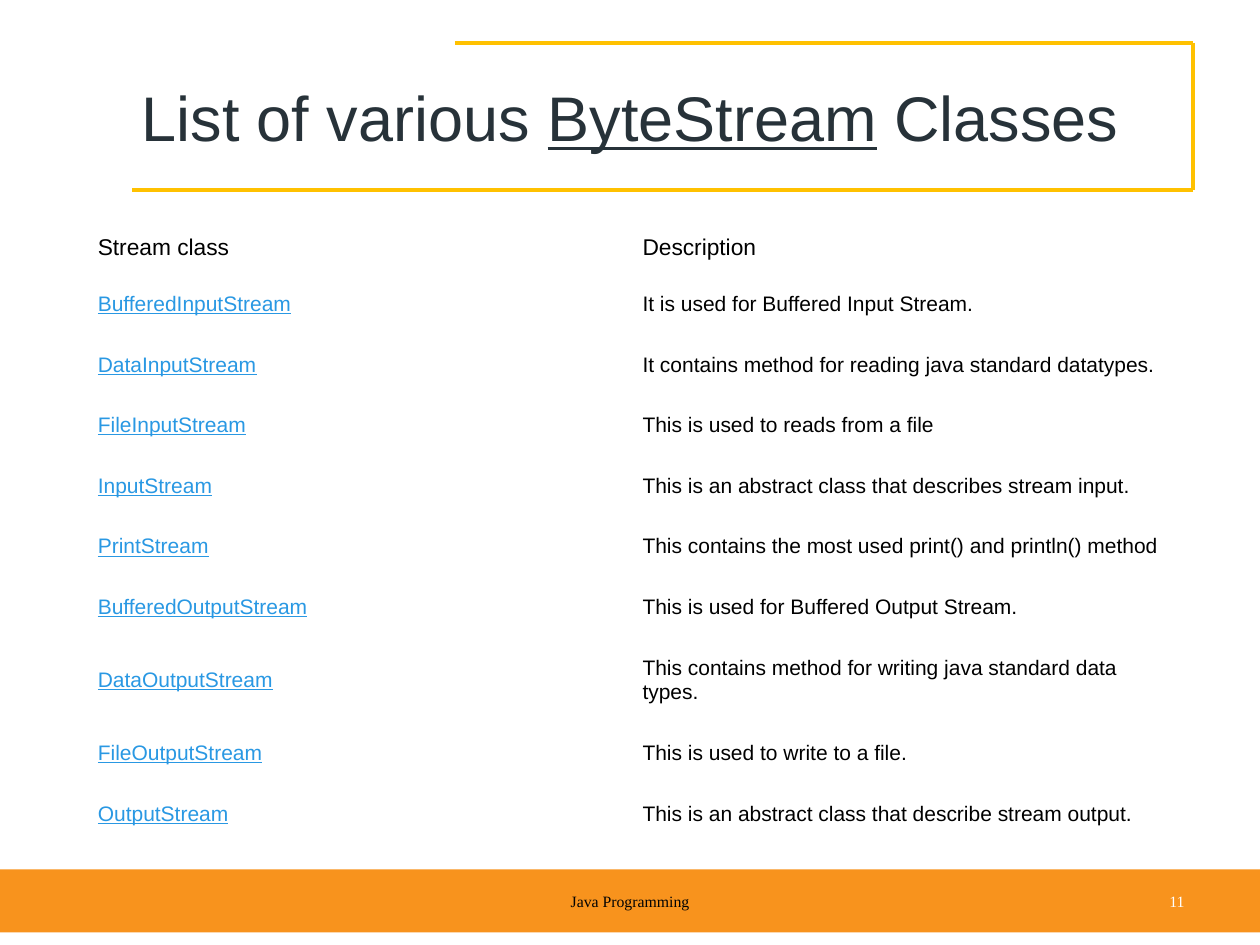
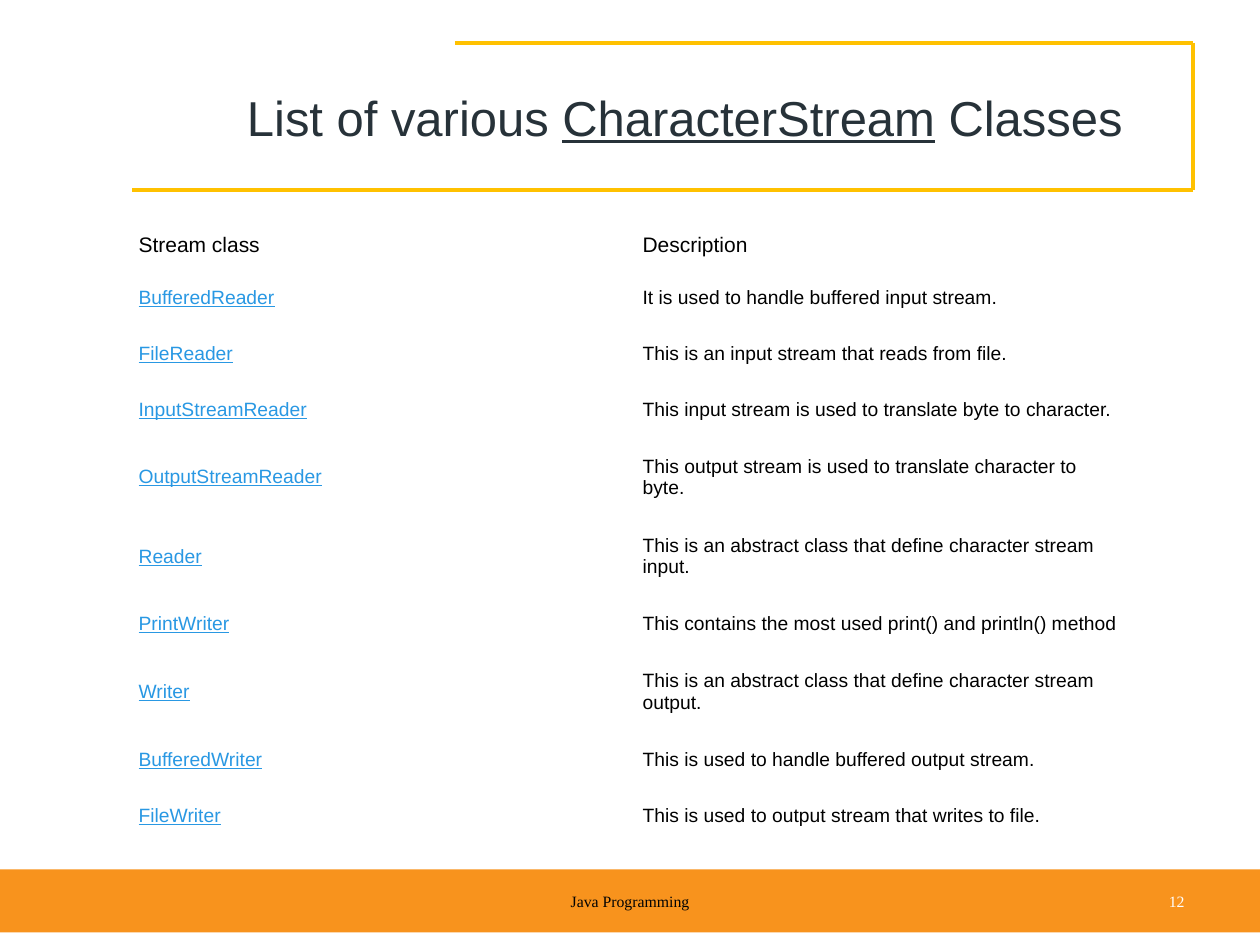
from pptx import Presentation
from pptx.dml.color import RGBColor
from pptx.enum import shapes, text
from pptx.oxml import parse_xml
from pptx.util import Pt

WHITE = RGBColor(0xFF, 0xFF, 0xFF)
BLACK = RGBColor(0, 0, 0)
FOOTER_INK = RGBColor(0x03, 0x03, 0x03)
TITLE_INK = RGBColor(0x27, 0x32, 0x39)
LINK_BLUE = RGBColor(0x29, 0x98, 0xE3)
FRAME_GOLD = RGBColor(0xFF, 0xC1, 0x00)
BAND_ORANGE = RGBColor(0xF8, 0x93, 0x1D)
SANS, SERIF = "Arial", "Times New Roman"
SLIDE_WIDTH, SLIDE_HEIGHT = 720, 540
FRAME_BOX = (75.6, 24.5, 606.2, 84.2)
BAND_BOX = (0, 496.8, SLIDE_WIDTH, 36)
SIDE_INSET = 7.2
NO_EFFECTS = '<a:effectLst xmlns:a="http://schemas.openxmlformats.org/drawingml/2006/main"/>'

BYTE_STREAMS = [
    ("BufferedInputStream", "It is used for Buffered Input Stream."),
    ("DataInputStream", "It contains method for reading java standard datatypes."),
    ("FileInputStream", "This is used to reads from a file"),
    ("InputStream", "This is an abstract class that describes stream input."),
    ("PrintStream", "This contains the most used print() and println() method"),
    ("BufferedOutputStream", "This is used for Buffered Output Stream."),
    ("DataOutputStream", "This contains method for writing java standard data types."),
    ("FileOutputStream", "This is used to write to a file."),
    ("OutputStream", "This is an abstract class that describe stream output."),
]
CHARACTER_STREAMS = [
    ("BufferedReader", "It is used to handle buffered input stream."),
    ("FileReader", "This is an input stream that reads from file."),
    ("InputStreamReader", "This input stream is used to translate byte to character."),
    ("OutputStreamReader", "This output stream is used to translate character to byte."),
    ("Reader", "This is an abstract class that define character stream input."),
    ("PrintWriter", "This contains the most used print() and println() method"),
    ("Writer", "This is an abstract class that define character stream output."),
    ("BufferedWriter", "This is used to handle buffered output stream."),
    ("FileWriter", "This is used to output stream that writes to file."),
]


def style_run(run, size, color, face=SANS, underline=False):
    """Set the font of one run."""
    run.font.name, run.font.size = face, Pt(size)
    run.font.color.rgb = color
    run.font.underline = underline


def add_label(slide, box, pieces, align, size, color, face=SANS):
    """Write (words, underlined) pieces on one line, centred vertically in the box."""
    frame = slide.shapes.add_textbox(*map(Pt, box)).text_frame
    frame.word_wrap = True
    frame.vertical_anchor = text.MSO_ANCHOR.MIDDLE
    line = frame.paragraphs[0]
    line.alignment = align
    for words, underlined in pieces:
        run = line.add_run()
        run.text = words
        style_run(run, size, color, face, underlined)


def add_title_frame(slide, box):
    """Draw the open gold frame, whose top edge is shorter than its bottom edge."""
    left, top, width, height = box
    right, bottom = left + width, top + height
    corners = [(left + 184.3, top), (right, top), (right, bottom), (left, bottom)]
    for start, end in zip(corners, corners[1:]):
        edge = slide.shapes.add_connector(
            shapes.MSO_CONNECTOR.STRAIGHT, *map(Pt, start + end))
        edge.line.color.rgb = FRAME_GOLD
        edge.line.width = Pt(2)
        edge._element.spPr.append(parse_xml(NO_EFFECTS))


def add_footer(slide, box, number):
    """Draw the orange band with the course name and the slide number."""
    left, top, width, height = box
    band = slide.shapes.add_shape(shapes.MSO_SHAPE.RECTANGLE, *map(Pt, box))
    band.shadow.inherit = False
    band.fill.solid()
    band.fill.fore_color.rgb = BAND_ORANGE
    band.line.fill.background()
    label_top, label_height = top + 3.6, height - 7.2
    add_label(slide, (left + 246, label_top, 228, label_height),
              [("Java Programming", False)], text.PP_ALIGN.CENTER, 9, FOOTER_INK, SERIF)
    add_label(slide, (left + width - 204, label_top, 168, label_height),
              [(str(number), False)], text.PP_ALIGN.RIGHT, 9, WHITE, SERIF)


def fill_cell(cell, words, size, color, pad, underline):
    """Write one table cell on white."""
    cell.text_frame.text = words
    style_run(cell.text_frame.paragraphs[0].runs[0], size, color, underline=underline)
    cell.vertical_anchor = text.MSO_ANCHOR.MIDDLE
    cell.margin_left = cell.margin_right = Pt(SIDE_INSET)
    cell.margin_top = cell.margin_bottom = Pt(pad)
    cell.fill.solid()
    cell.fill.fore_color.rgb = WHITE


def add_class_table(slide, box, streams, size, pads, heights, wrapped):
    """List stream classes; heights are for the header, one-line and two-line rows."""
    header_pad, body_pad = pads
    header_height, row_height, wrapped_height = heights
    table = slide.shapes.add_table(len(streams) + 1, 2, *map(Pt, box)).table
    table.first_row = table.horz_banding = False
    for column in table.columns:
        column.width = Pt(box[2] / 2)
    table.rows[0].height = Pt(header_height)
    for cell, heading in zip(table.rows[0].cells, ("Stream class", "Description")):
        fill_cell(cell, heading, size + 1, BLACK, header_pad, False)
    for index, (name, description) in enumerate(streams, 1):
        row = table.rows[index]
        row.height = Pt(wrapped_height if name in wrapped else row_height)
        fill_cell(row.cells[0], name, size, LINK_BLUE, body_pad, True)
        fill_cell(row.cells[1], description, size, BLACK, body_pad, False)


def add_stream_slide(deck, number, family, title_box, title_size, table_box, **listing):
    """Build one slide that lists a family of stream classes."""
    slide = deck.slides.add_slide(deck.slide_layouts[6])
    add_title_frame(slide, FRAME_BOX)
    add_footer(slide, BAND_BOX, number)
    title = [("List of various ", False), (family, True), (" Classes", False)]
    add_label(slide, title_box, title, text.PP_ALIGN.CENTER, title_size, TITLE_INK)
    add_class_table(slide, table_box, **listing)


def main():
    """Build and save the deck."""
    deck = Presentation()
    deck.slide_width, deck.slide_height = Pt(SLIDE_WIDTH), Pt(SLIDE_HEIGHT)
    add_stream_slide(
        deck, 11, "ByteStream", (36, 21.6, 648, 90), 36, (48.7, 126, 622.6, 356.4),
        streams=BYTE_STREAMS, size=12, pads=(7.2, 10.1), heights=(30.5, 34.6, 49),
        wrapped={"DataOutputStream"})
    add_stream_slide(
        deck, 12, "CharacterStream", (98.6, 21.6, 585.4, 90), 28, (72, 126, 576, 356.4),
        streams=CHARACTER_STREAMS, size=11, pads=(6.5, 9.4), heights=(28, 32, 45.3),
        wrapped={"OutputStreamReader", "Reader", "Writer"})
    deck.save("out.pptx")


main()
